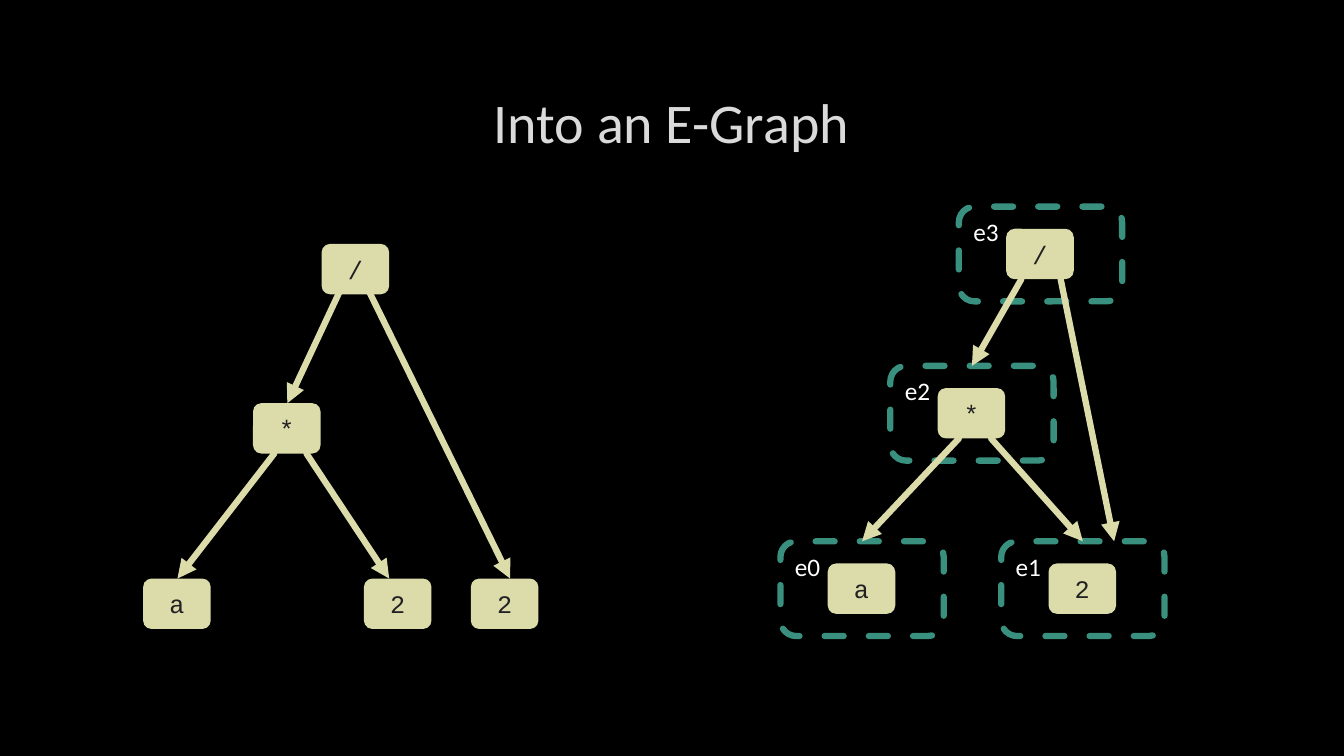
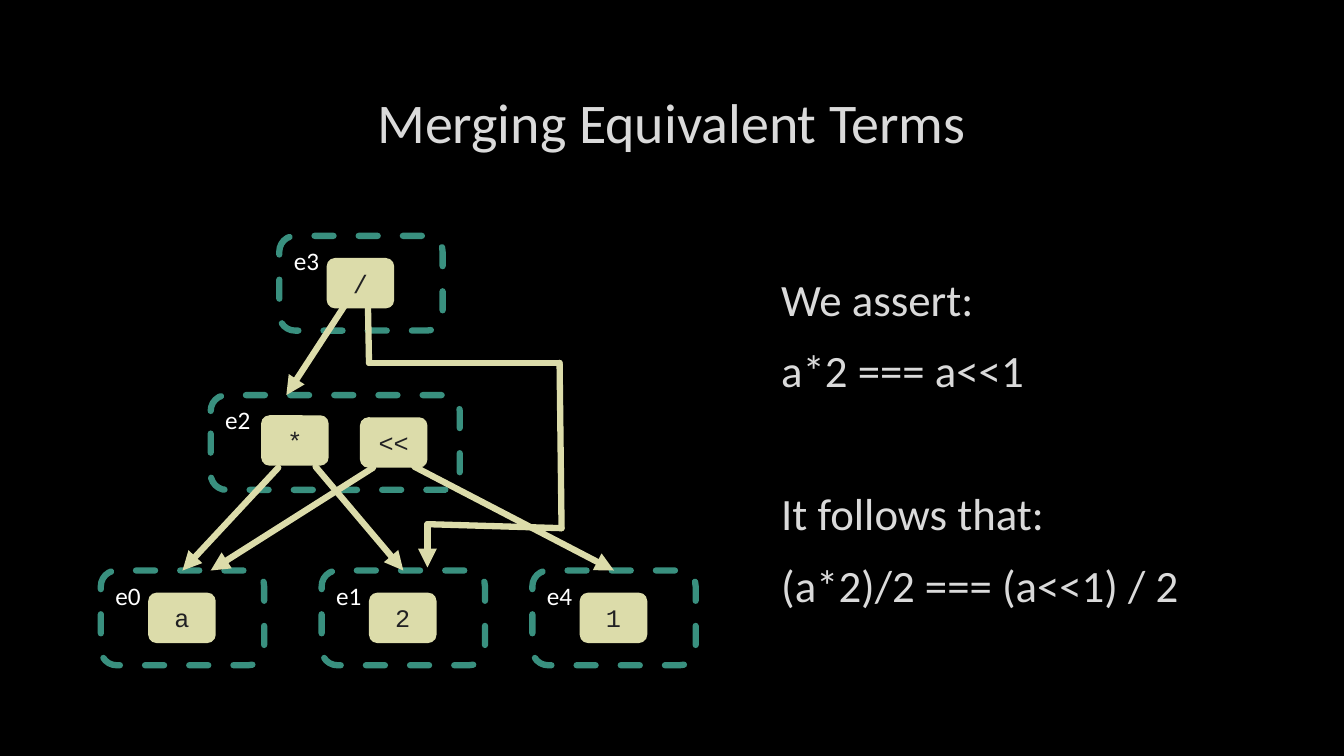
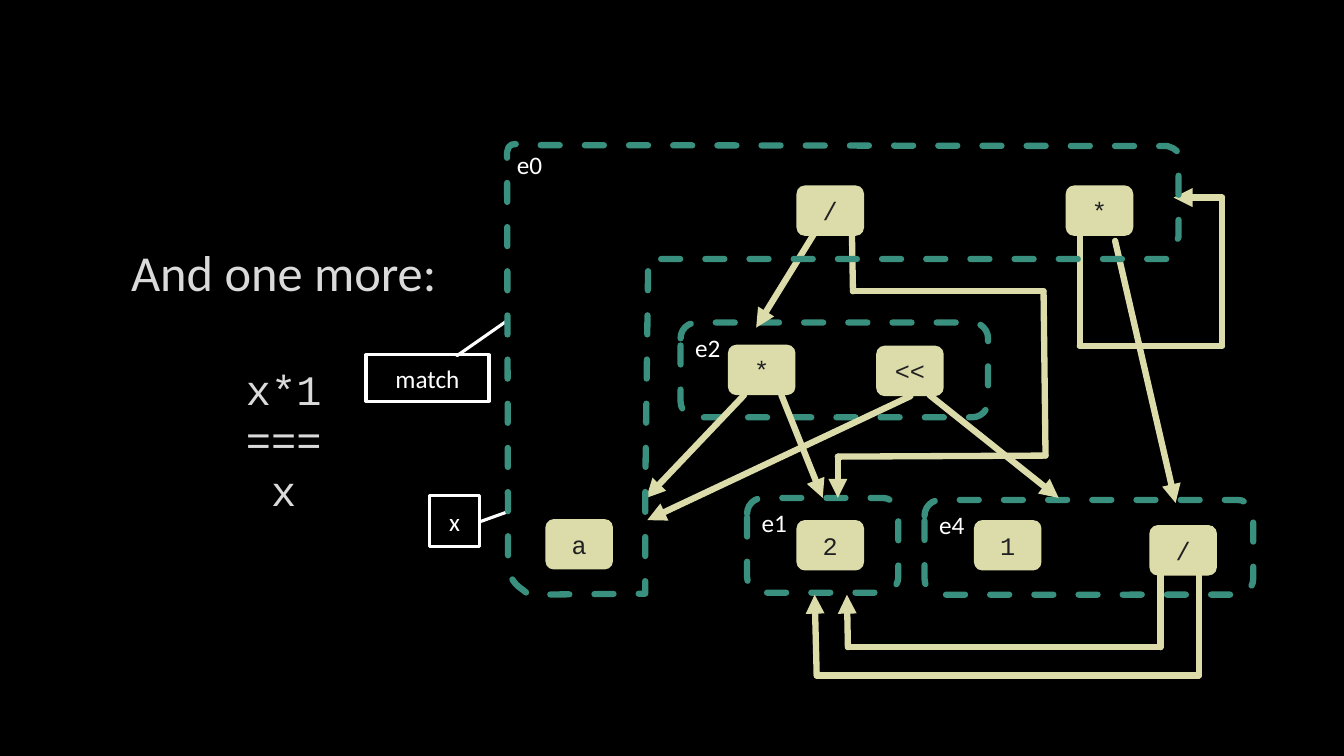
from lxml.etree import SubElement
from pptx import Presentation
from pptx.dml.color import RGBColor
from pptx.enum.dml import MSO_LINE
from pptx.enum.shapes import MSO_CONNECTOR, MSO_SHAPE
from pptx.enum.text import MSO_ANCHOR, MSO_AUTO_SIZE, PP_ALIGN
from pptx.oxml.ns import qn
from pptx.util import Pt

PX = 9144  # EMU in one px, 100 px to the inch
SLIDE_SIZE = (1333, 750)
COLORS = {
    "background": "000000",
    "title": "DADADA",
    "label": "FFFFFF",
    "node": "DCDCAA",
    "node_text": "212123",
    "class": "39907F",
}
SANS, MONO = "Calibri", "Courier New"
NODE_SIZE = (67, 50)
CLASS_HEIGHT = 94
INNER = (47, 22)  # usual place of a node within its class
TITLE_BOX = (100, 67, 1132, 106)

# classes: label, left, top, width, nodes as (text, offset)
# nodes: text, left, top
# edges: points of a route whose last stretch carries the arrowhead
INTO_GRAPH = {
    "classes": [
        ("e3", 951, 205, 162, [("/", INNER)]),
        ("e2", 883, 363, 162, [("*", INNER)]),
        ("e0", 774, 537, 162, [("a", INNER)]),
        ("e1", 993, 537, 162, [("2", INNER)]),
    ],
    "nodes": [("/", 319, 242), ("*", 251, 400), ("a", 142, 574),
              ("2", 361, 574), ("2", 467, 574)],
    "edges": [
        [(1013, 277), (964, 363)],
        [(983, 435), (1074, 537)],
        [(1052, 277), (1105, 537)],
        [(951, 435), (855, 537)],
        [(337, 289), (285, 400)],
        [(272, 450), (176, 574)],
        [(304, 450), (386, 574)],
        [(366, 289), (506, 574)],
    ],
}
MERGING = {
    "classes": [
        ("e3", 277, 234, 162, [("/", INNER)]),
        ("e2", 209, 392, 247, [("*", (50, 20)), ("<<", (148, 22))]),
        ("e0", 100, 566, 162, [("a", INNER)]),
        ("e1", 319, 566, 162, [("2", INNER)]),
        ("e4", 528, 566, 162, [("1", INNER)]),
    ],
    "nodes": [],
    "edges": [
        [(342, 303), (284, 392)],
        [(313, 463), (400, 566)],
        [(370, 464), (209, 566)],
        [(411, 463), (609, 566)],
        [(276, 464), (181, 566)],
        [(365, 306), (366, 360), (555, 360), (557, 524), (424, 520), (424, 563)],
    ],
}
ONE_MORE = {
    "classes": [
        ("e2", 675, 320, 305, [("*", INNER), ("<<", (194, 23))]),
        ("e1", 741, 494, 150, [("2", (49, 22))]),
        ("e4", 917, 496, 326, [("1", (49, 20)), ("/", (223, 25))]),
    ],
    "nodes": [("/", 790, 184), ("*", 1057, 184), ("a", 541, 515)],
    "edges": [
        [(775, 392), (816, 494)],
        [(903, 393), (642, 516)],
        [(922, 392), (1050, 494)],
        [(738, 392), (641, 494)],
        [(1106, 239), (1166, 499)],
        [(808, 231), (750, 325)],
        [(845, 234), (846, 289), (1035, 289), (1037, 452), (831, 453), (831, 494)],
        [(1189, 569), (1189, 670), (810, 670), (808, 590)],
        [(1151, 571), (1151, 642), (841, 642), (840, 590)],
        [(1071, 234), (1071, 343), (1212, 343), (1212, 196), (1164, 196)],
    ],
}
# a point is a corner; a group of three points is a curve from the point before
CLASS_OUTLINE = [
    (640, 489), (640, 589), (524, 590),
    ((517, 582), (511, 584), (504, 566)), (503, 160),
    ((500, 131), (520, 149), (529, 144)), (1158, 145),
    ((1176, 150), (1166, 160), (1169, 167)), (1169, 235), (1160, 257), (643, 257),
]
CALLOUTS = [
    ("match", (363, 352, 122, 46), (0.02, 0.74, -0.74, 1.15)),
    ("x", (426, 492, 50, 50), (0.51, 1.01, 0.33, 1.51)),
]
ASSERTIONS_BOX = (765, 197, 477, 482)
ASSERTIONS = [  # text, space before in points
    ("We assert:", 6.4),
    ("a*2 === a<<1", 6.4),
    ("It follows that:", 57.8),
    ("(a*2)/2 === (a<<1) / 2", 6.4),
]
SIDE_TITLE_BOX = (91, 122, 381, 506)
RULE_LINES = [("x*1", 44), ("===", 0), ("x", 0)]


def scaled(values):
    return [round(value * PX) for value in values]


def rgb(name):
    return RGBColor.from_string(COLORS[name])


def write(shape, text, size=18, color="label", font=SANS, align=PP_ALIGN.CENTER,
          anchor=MSO_ANCHOR.MIDDLE, before=0, after=0, spacing=None):
    """Put text in the shape as a paragraph after any text already there."""
    frame = shape.text_frame
    frame.word_wrap = True
    frame.auto_size = MSO_AUTO_SIZE.NONE
    frame.vertical_anchor = anchor
    paragraph = frame.add_paragraph() if frame.text else frame.paragraphs[0]
    paragraph.alignment = align
    paragraph.space_before, paragraph.space_after = Pt(before), Pt(after)
    paragraph.line_spacing = spacing
    run = paragraph.add_run()
    run.text = text
    run.font.size, run.font.name = Pt(size), font
    run.font.color.rgb = rgb(color)


def set_line(shape, color, width=4.5, dash=None):
    shape.line.color.rgb = rgb(color)
    shape.line.width = Pt(width)
    if dash:
        shape.line.dash_style = dash
    outline = shape.element.spPr.find(qn("a:ln"))
    outline.set("cap", "rnd")
    return outline


def add_box(slide, kind, box):
    shape = slide.shapes.add_shape(kind, *scaled(box))
    shape.shadow.inherit = False
    shape.fill.background()
    return shape


def add_node(slide, text, left, top):
    node = add_box(slide, MSO_SHAPE.ROUNDED_RECTANGLE, (left, top, *NODE_SIZE))
    node.fill.solid()
    node.fill.fore_color.rgb = rgb("node")
    node.line.fill.background()
    write(node, text, color="node_text", font=MONO)


def style_class(shape, label):
    set_line(shape, "class", dash=MSO_LINE.DASH)
    write(shape, label, align=PP_ALIGN.LEFT, anchor=MSO_ANCHOR.TOP)


def add_edge(slide, points):
    for start, end in zip(points, points[1:]):
        connector = slide.shapes.add_connector(
            MSO_CONNECTOR.STRAIGHT, *scaled(start + end))
        outline = set_line(connector, "node")
        if end == points[-1]:
            SubElement(outline, qn("a:tailEnd"), type="triangle")
        SubElement(connector.element.spPr, qn("a:effectLst"))


def add_graph(slide, graph):
    for label, left, top, width, nodes in graph["classes"]:
        box = (left, top, width, CLASS_HEIGHT)
        style_class(add_box(slide, MSO_SHAPE.ROUNDED_RECTANGLE, box), label)
        for text, (right, down) in nodes:
            add_node(slide, text, left + right, top + down)
    for node in graph["nodes"]:
        add_node(slide, *node)
    for points in graph["edges"]:
        add_edge(slide, points)


def flatten(outline, steps=8):
    """Turn the curves of an outline into short straight stretches."""
    points = []
    for part in outline:
        if not isinstance(part[0], tuple):
            points.append(part)
            continue
        controls = (points[-1], *part)
        for step in range(1, steps + 1):
            t = step / steps
            weights = ((1 - t) ** 3, 3 * t * (1 - t) ** 2, 3 * t * t * (1 - t), t ** 3)
            points.append(tuple(
                sum(weight * point[axis] for weight, point in zip(weights, controls))
                for axis in (0, 1)))
    return points


def add_outlined_class(slide, label, outline):
    points = [scaled(point) for point in flatten(outline)]
    builder = slide.shapes.build_freeform(*points[0])
    builder.add_line_segments(points[1:], close=True)
    shape = builder.convert_to_shape()
    shape.shadow.inherit = False
    shape.fill.background()
    style_class(shape, label)


def add_callout(slide, text, box, adjustments):
    callout = add_box(slide, MSO_SHAPE.LINE_CALLOUT_1, box)
    for index, value in enumerate(adjustments):
        callout.adjustments[index] = value
    set_line(callout, "label", width=2.25)
    write(callout, text)


def add_slide(presentation, title, box=TITLE_BOX, size=40):
    slide = presentation.slides.add_slide(presentation.slide_layouts[5])
    shape = slide.shapes.title
    shape.left, shape.top, shape.width, shape.height = scaled(box)
    write(shape, title, size=size, color="title")
    return slide


def main():
    presentation = Presentation()
    presentation.slide_width, presentation.slide_height = scaled(SLIDE_SIZE)
    background = presentation.slide_master.background.fill
    background.solid()
    background.fore_color.rgb = rgb("background")

    add_graph(add_slide(presentation, "Into an E-Graph"), INTO_GRAPH)

    slide = add_slide(presentation, "Merging Equivalent Terms")
    assertions = slide.shapes.add_textbox(*scaled(ASSERTIONS_BOX))
    for text, before in ASSERTIONS:
        write(assertions, text, size=32, color="title", align=PP_ALIGN.LEFT,
              before=before, after=6)
    add_graph(slide, MERGING)

    slide = add_slide(presentation, "And one more:", SIDE_TITLE_BOX, size=36)
    for text, before in RULE_LINES:
        write(slide.shapes.title, text, size=30, color="title", font=MONO,
              before=before, spacing=Pt(36))
    for callout in CALLOUTS:
        add_callout(slide, *callout)
    add_graph(slide, ONE_MORE)
    add_outlined_class(slide, "e0", CLASS_OUTLINE)

    presentation.save("out.pptx")


if __name__ == "__main__":
    main()
